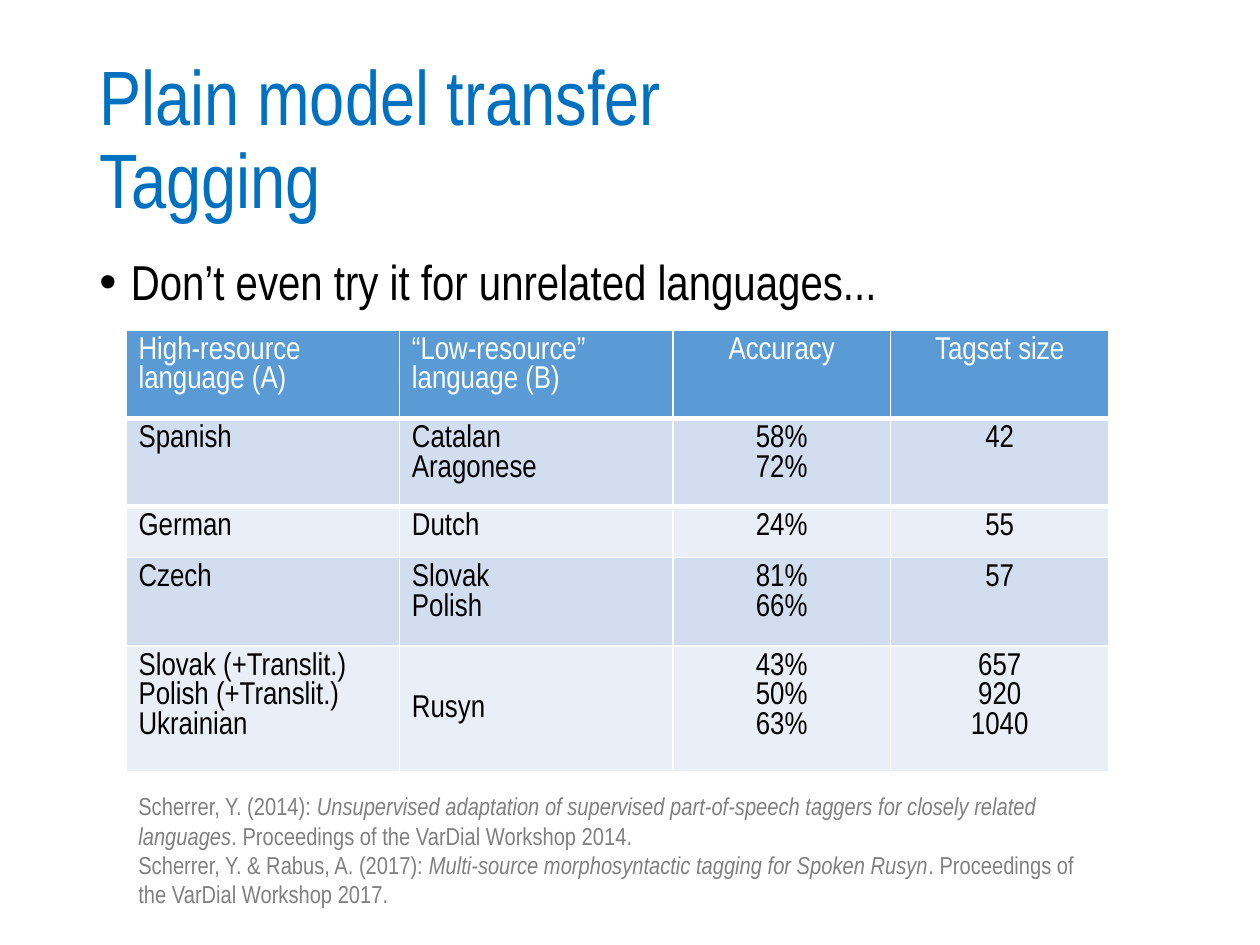
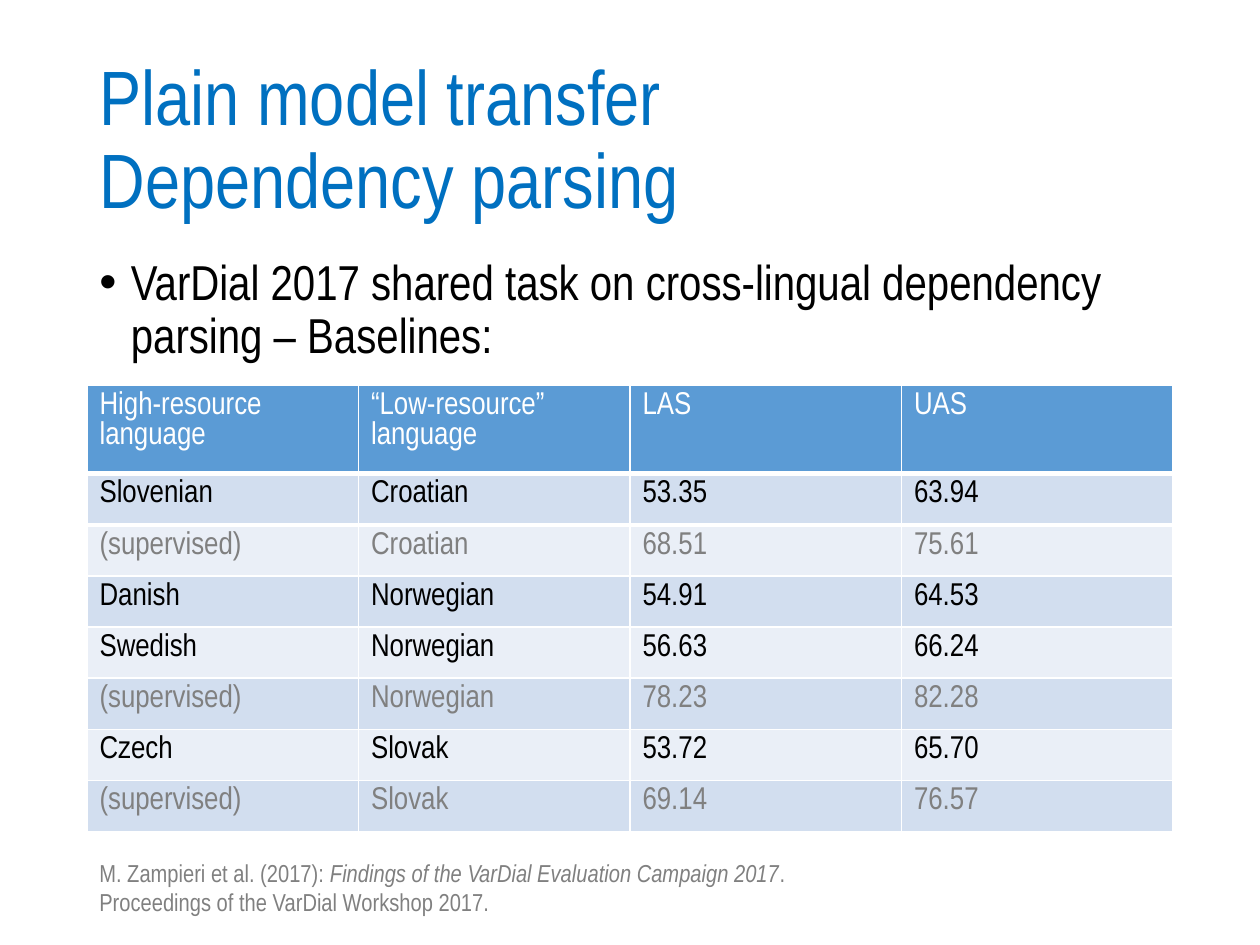
from lxml import etree
from pptx import Presentation
from pptx.dml.color import RGBColor
from pptx.enum.text import MSO_ANCHOR as Anchor, PP_ALIGN as Align
from pptx.oxml.ns import qn
from pptx.util import Inches, Pt

FONT = "Arial Narrow"
TITLE_BLUE = RGBColor(0x00, 0x70, 0xC0)
HEADER_BLUE = RGBColor(0x5B, 0x9B, 0xD5)
BAND_DARK = RGBColor(0xD2, 0xDE, 0xEF)
BAND_LIGHT = RGBColor(0xEA, 0xEF, 0xF7)
BLACK = RGBColor(0, 0, 0)
WHITE = RGBColor(0xFF, 0xFF, 0xFF)
GRAY = RGBColor(0x80, 0x80, 0x80)

LEFT, WIDTH = 0.69, 8.62
HEADER_HEIGHT, MIN_ROW_HEIGHT = Pt(41), Pt(29.2)
CELL_PADDING, LINE_HEIGHT = Pt(7), Pt(17)

TAGGING_ROWS = [
    ["High-resource language (A)", "“Low-resource” language (B)", "Accuracy", "Tagset size"],
    ["Spanish", "Catalan\vAragonese", "58%\n72%", "42"],
    ["German", "Dutch", "24%", "55"],
    ["Czech", "Slovak\vPolish", "81%\n66%", "57"],
    ["Slovak (+Translit.)\nPolish (+Translit.)\nUkrainian", "Rusyn",
     "43%\n50%\n63%", "657\n920\n1040"],
]
TAGGING_REFERENCES = [
    [("Scherrer, Y. (2014): ", False),
     ("Unsupervised adaptation of supervised part-of-speech taggers "
      "for closely related languages", True),
     (". Proceedings of the VarDial Workshop 2014.", False)],
    [("Scherrer, Y. & Rabus, A. (2017): ", False),
     ("Multi-source morphosyntactic tagging for Spoken Rusyn", True),
     (". Proceedings of the VarDial Workshop 2017.", False)],
]
PARSING_ROWS = [
    ["High-resource language", "“Low-resource” language", "LAS", "UAS"],
    ["Slovenian", "Croatian", "53.35", "63.94"],
    ["(supervised)", "Croatian", "68.51", "75.61"],
    ["Danish", "Norwegian", "54.91", "64.53"],
    ["Swedish", "Norwegian", "56.63", "66.24"],
    ["(supervised)", "Norwegian", "78.23", "82.28"],
    ["Czech", "Slovak", "53.72", "65.70"],
    ["(supervised)", "Slovak", "69.14", "76.57"],
]
PARSING_REFERENCES = [
    [("M. Zampieri et al. (2017): ", False),
     ("Findings of the VarDial Evaluation Campaign 2017", True),
     (".", False)],
    [("Proceedings of the VarDial Workshop 2017.", False)],
]


def style_run(r, size, color, italic=False):
    """Apply the shared typeface with the given size and colour."""
    r.font.name = FONT
    r.font.size = Pt(size)
    r.font.color.rgb = color
    r.font.bold = False
    r.font.italic = italic


def add_text_box(slide, left, top, width, height):
    """Add a wrapping text box and return its text frame."""
    sp = slide.shapes.add_textbox(Inches(left), Inches(top), Inches(width), Inches(height))
    sp.text_frame.word_wrap = True
    return sp.text_frame


def add_title(slide, topic):
    """Place the two-line title in its placeholder."""
    sp = slide.shapes.title
    sp.left, sp.top = Inches(LEFT), Inches(0.4)
    sp.width, sp.height = Inches(WIDTH), Inches(1.45)
    tf = sp.text_frame
    tf.vertical_anchor = Anchor.MIDDLE
    p = tf.paragraphs[0]
    p.text = f"Plain model transfer\v{topic}"
    p.alignment = Align.LEFT
    p.line_spacing = 0.9
    for r in p.runs:
        style_run(r, 44, TITLE_BLUE)


def add_bullet(slide, text):
    """Add the bulleted statement under the title."""
    p = add_text_box(slide, LEFT, 2, WIDTH, 1).paragraphs[0]
    p.text = text
    p.line_spacing = 0.9
    pPr = p._p.get_or_add_pPr()
    pPr.set("marL", str(Inches(0.25)))
    pPr.set("indent", str(-Inches(0.25)))
    etree.SubElement(pPr, qn("a:buFont"), typeface="Arial")
    etree.SubElement(pPr, qn("a:buChar"), char="•")
    style_run(p.runs[0], 28, BLACK)


def row_height(index, row):
    """Return the height that the lines of a row need."""
    if index == 0:
        return HEADER_HEIGHT
    lines = max(len(text.splitlines()) for text in row)
    return max(MIN_ROW_HEIGHT, CELL_PADDING + LINE_HEIGHT * lines)


def set_border(cell, side, width):
    """Draw a white border of the given width on one side of a cell."""
    tcPr = cell._tc.get_or_add_tcPr()
    line = etree.Element(qn(f"a:{side}"), w=str(Pt(width)))
    fill = etree.SubElement(line, qn("a:solidFill"))
    etree.SubElement(fill, qn("a:srgbClr"), val=str(WHITE))
    tcPr.insert(0, line)


def fill_cell(cell, text, fill, color, alignment):
    """Write and format one table cell."""
    cell.fill.solid()
    cell.fill.fore_color.rgb = fill
    cell.text_frame.text = text
    for p in cell.text_frame.paragraphs:
        p.alignment = alignment
        for r in p.runs:
            style_run(r, 18, color)


def add_results(slide, rows, left, top, widths, centered=()):
    """Add a banded results table, with supervised rows in grey."""
    heights = [row_height(i, row) for i, row in enumerate(rows)]
    table = slide.shapes.add_table(
        len(rows), len(widths), Inches(left), Inches(top),
        Inches(sum(widths)), sum(heights)).table
    for column, width in zip(table.columns, widths):
        column.width = Inches(width)
    for i, row in enumerate(rows):
        table.rows[i].height = heights[i]
        if i == 0:
            fill, color = HEADER_BLUE, WHITE
        else:
            fill = BAND_DARK if i % 2 else BAND_LIGHT
            color = GRAY if row[0] == "(supervised)" else BLACK
        for j, text in enumerate(row):
            alignment = Align.CENTER if j in centered else Align.LEFT
            fill_cell(table.cell(i, j), text, fill, color, alignment)
    for j in range(len(widths)):
        set_border(table.cell(0, j), "lnB", 3)
        set_border(table.cell(1, j), "lnT", 3)
    return table


def add_references(slide, references, left, top, height):
    """Add the source references at the foot of the slide."""
    tf = add_text_box(slide, left, top, 7.8, height)
    for i, reference in enumerate(references):
        p = tf.add_paragraph() if i else tf.paragraphs[0]
        for text, italic in reference:
            r = p.add_run()
            r.text = text
            style_run(r, 14, GRAY, italic)


def add_content_slide(prs, topic, bullet):
    """Add a title-only slide with its title and bullet."""
    slide = prs.slides.add_slide(prs.slide_layouts[5])
    add_title(slide, topic)
    add_bullet(slide, bullet)
    return slide


def build_tagging(prs):
    """Build the tagging slide."""
    slide = add_content_slide(prs, "Tagging", "Don’t even try it for unrelated languages...")
    table = add_results(slide, TAGGING_ROWS, 1, 2.62, [2.17, 2.17, 1.73, 1.73], (2, 3))
    table.cell(4, 1).vertical_anchor = Anchor.MIDDLE
    add_references(slide, TAGGING_REFERENCES, 1, 6.23, 1.04)


def build_parsing(prs):
    """Build the dependency parsing slide."""
    slide = add_content_slide(
        prs, "Dependency parsing",
        "VarDial 2017 shared task on cross-lingual dependency parsing – Baselines:")
    add_results(slide, PARSING_ROWS, LEFT, 3.06, [WIDTH / 4] * 4)
    add_references(slide, PARSING_REFERENCES, LEFT, 6.76, 0.57)


def main():
    """Build and save the presentation."""
    prs = Presentation()
    prs.slide_width, prs.slide_height = Inches(10), Inches(7.5)
    build_tagging(prs)
    build_parsing(prs)
    prs.save("out.pptx")


if __name__ == "__main__":
    main()
